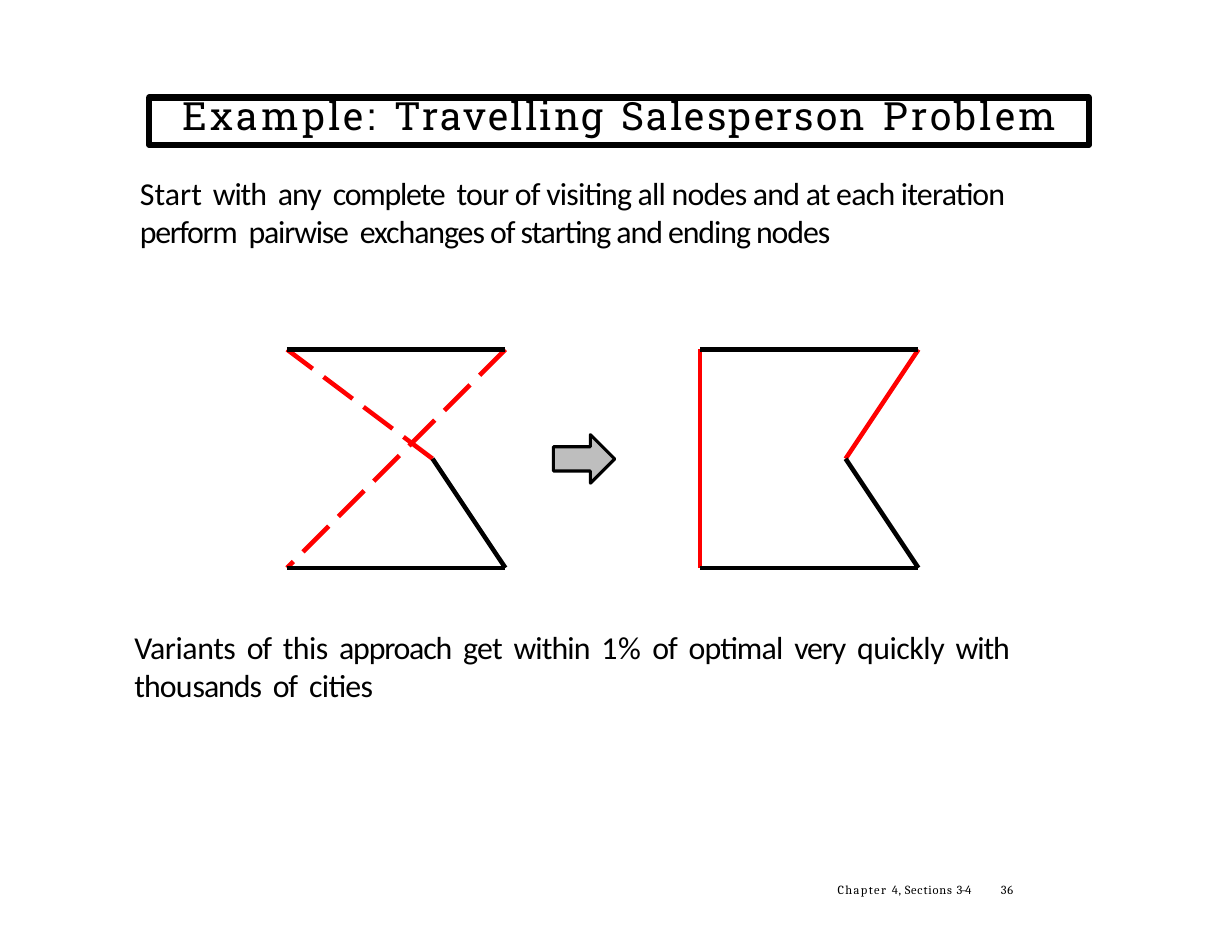
from lxml import etree
from pptx import Presentation
from pptx.dml.color import RGBColor
from pptx.enum.dml import MSO_LINE
from pptx.enum.shapes import MSO_CONNECTOR, MSO_SHAPE
from pptx.enum.text import MSO_ANCHOR, PP_ALIGN
from pptx.oxml.ns import qn
from pptx.util import Pt

STRAIGHT = MSO_CONNECTOR.STRAIGHT
LONG_DASH = MSO_LINE.LONG_DASH
RECTANGLE = MSO_SHAPE.RECTANGLE
RIGHT_ARROW = MSO_SHAPE.RIGHT_ARROW
TOP = MSO_ANCHOR.TOP
LEFT, CENTER = PP_ALIGN.LEFT, PP_ALIGN.CENTER

BLACK = RGBColor(0x00, 0x00, 0x00)
RED = RGBColor(0xFF, 0x00, 0x00)
GRAY = RGBColor(0xBE, 0xBE, 0xBE)

TOUR_SIDE = 140.4
TOUR_TOP = 224.7

# Each piece of text is paired with its letter spacing in points.
TITLE = [("Example: ", 2.2), ("Travelling ", 1.4), ("Salesperson ", 1.4),
         ("Problem", 2.1)]
METHOD = [("Start ", 0), ("with ", -0.7), ("any ", -0.6), ("complete ", -0.8),
          ("tour of visiting all nodes and at each iteration ", -0.5),
          ("perform ", -0.9), ("pairwise ", -0.8),
          ("exchanges of starting and ending nodes", -0.7)]
RESULT = [("Variants ", -0.3), ("of ", -0.8), ("this ", -0.4),
          ("approach ", -0.8), ("get ", -0.5), ("within ", -0.6),
          ("1% ", 0.4), ("of ", -0.8), ("optimal ", -0.5), ("very ", -0.8),
          ("quickly ", -0.3), ("with ", -0.7), ("thou", -0.6),
          ("sands ", -0.7), ("of ", -0.8), ("cities", -0.4)]
CHAPTER = [("Chapter ", 0.9), ("4, ", 0.4), ("Sections ", 0.5), ("3–4", -1)]
PAGE_NUMBER = [("36", 0.5)]


def add_run(paragraph, text, spacing, font, size):
    run = paragraph.add_run()
    run.text = text
    run.font.name = font
    run.font.size = Pt(size)
    run.font.color.rgb = BLACK
    run.font._element.set("spc", str(round(spacing * 100)))


def write_text(frame, pieces, font, size, gap=None, align=LEFT,
               line_spacing=None, inset_top=0):
    """Fill a frame; gap is the letter spacing of the space ending a piece."""
    frame.word_wrap = True
    frame.vertical_anchor = TOP
    frame.margin_left = frame.margin_right = frame.margin_bottom = 0
    frame.margin_top = Pt(inset_top)
    paragraph = frame.paragraphs[0]
    paragraph.alignment = align
    if line_spacing:
        paragraph.line_spacing = Pt(line_spacing)
    for text, spacing in pieces:
        if gap is not None and text.endswith(" "):
            add_run(paragraph, text[:-1], spacing, font, size)
            add_run(paragraph, " ", gap, font, size)
        else:
            add_run(paragraph, text, spacing, font, size)


def add_text(slide, left, top, width, height, pieces, **text_format):
    box = slide.shapes.add_textbox(Pt(left), Pt(top), Pt(width), Pt(height))
    write_text(box.text_frame, pieces, **text_format)


def add_outlined(slide, preset, left, top, width, height, weight, fill=None):
    """Add a preset shape with a black, round-cornered outline."""
    shape = slide.shapes.add_shape(preset, Pt(left), Pt(top), Pt(width), Pt(height))
    shape.shadow.inherit = False
    if fill is None:
        shape.fill.background()
    else:
        shape.fill.solid()
        shape.fill.fore_color.rgb = fill
    shape.line.color.rgb = BLACK
    shape.line.width = Pt(weight)
    etree.SubElement(shape.line._get_or_add_ln(), qn("a:round"))
    return shape


def add_edge(slide, start, end, color, dash=None):
    edge = slide.shapes.add_connector(STRAIGHT, *(Pt(v) for v in (*start, *end)))
    edge.line.color.rgb = color
    edge.line.width = Pt(2.93)
    if dash:
        edge.line.dash_style = dash
    etree.SubElement(edge._element.spPr, qn("a:effectLst"))


def add_tour(slide, left, exchanged, dash=None):
    """Draw the fixed edges in black and the exchanged node pairs in red."""
    right, bottom = left + TOUR_SIDE, TOUR_TOP + TOUR_SIDE
    nodes = {
        "top left": (left, TOUR_TOP),
        "top right": (right, TOUR_TOP),
        "inner": (left + TOUR_SIDE * 2 / 3, TOUR_TOP + TOUR_SIDE / 2),
        "bottom left": (left, bottom),
        "bottom right": (right, bottom),
    }
    kept = [("top left", "top right"), ("bottom left", "bottom right"),
            ("bottom right", "inner")]
    for start, end in exchanged:
        add_edge(slide, nodes[start], nodes[end], RED, dash)
    for start, end in kept:
        add_edge(slide, nodes[start], nodes[end], BLACK)


def main():
    deck = Presentation()
    deck.slide_width, deck.slide_height = Pt(792), Pt(612)
    slide = deck.slides.add_slide(deck.slide_layouts[6])

    title = add_outlined(slide, RECTANGLE, 96, 62.8, 604, 30.4, 4.08)
    write_text(title.text_frame, TITLE, font="Roboto Slab", size=25, gap=4,
               align=CENTER, line_spacing=26.4)

    body = {"font": "Calibri", "size": 20.5, "gap": 2.3, "inset_top": 1.5}
    add_text(slide, 90, 110.2, 609, 51, METHOD, **body)
    add_tour(slide, 450, [("bottom left", "top left"), ("top right", "inner")])
    add_tour(slide, 184.5, [("top right", "bottom left"), ("inner", "top left")],
             LONG_DASH)
    add_outlined(slide, RIGHT_ARROW, 355.8, 279.4, 39.4, 31.2, 1.95, GRAY)
    add_text(slide, 86.4, 402, 598, 52, RESULT, **body)

    footer = {"font": "Cambria", "size": 8, "line_spacing": 8.6}
    add_text(slide, 538.4, 568, 90, 10, CHAPTER, **footer)
    add_text(slide, 643.4, 568, 12.6, 10, PAGE_NUMBER, **footer)

    deck.save("out.pptx")


if __name__ == "__main__":
    main()
